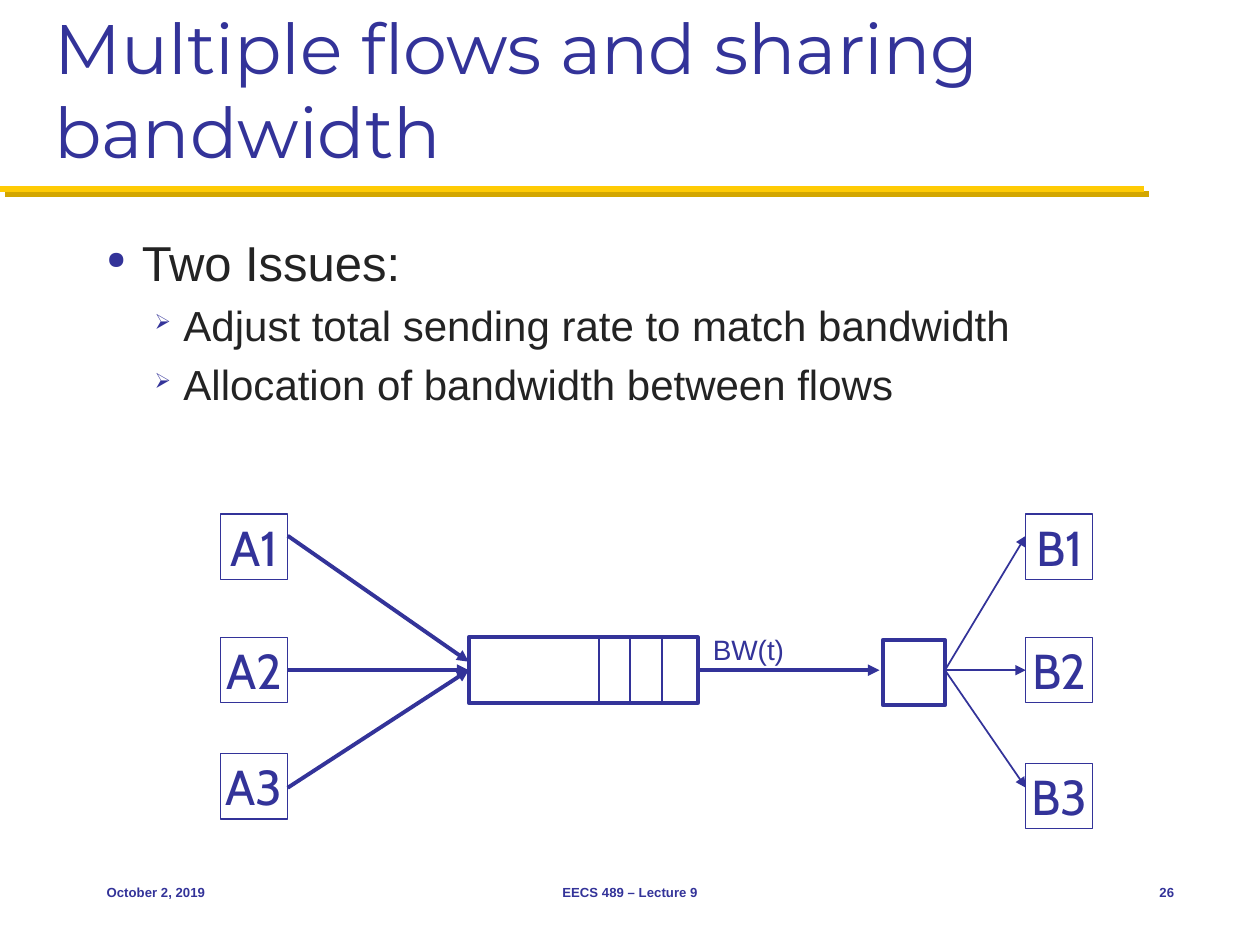
from lxml import etree
from pptx import Presentation
from pptx.dml.color import RGBColor
from pptx.enum.shapes import MSO_CONNECTOR, MSO_SHAPE
from pptx.enum.text import MSO_ANCHOR, PP_ALIGN
from pptx.oxml.ns import qn
from pptx.util import Cm, Pt

LEFT, CENTER, RIGHT = PP_ALIGN.LEFT, PP_ALIGN.CENTER, PP_ALIGN.RIGHT
TOP, MIDDLE, BOTTOM = MSO_ANCHOR.TOP, MSO_ANCHOR.MIDDLE, MSO_ANCHOR.BOTTOM
RECTANGLE = MSO_SHAPE.RECTANGLE
STRAIGHT = MSO_CONNECTOR.STRAIGHT

COLORS = {
    "blue": "333399",
    "ink": "232323",
    "gold": "FFCB05",
    "dark_gold": "D3A600",
    "white": "FFFFFF",
}

# Diagram measures in cm
NODE_W, NODE_H = 1.35, 1.32
SENDER_X, RECEIVER_X = 4.45, 20.68
SENDER_EDGE = 5.8
AXIS_Y = 13.51
QUEUE_X, QUEUE_Y, QUEUE_W = 9.45, 12.85, 4.62
ROUTER_X, ROUTER_Y, ROUTER_W = 17.8, 12.9, 1.25
PORT_Y = {"top": 10.8, "bottom": 15.88}


def rgb(name):
    return RGBColor.from_string(COLORS[name])


def sub(parent, tag, **attributes):
    return etree.SubElement(parent, qn(tag), attributes)


def write(paragraph, text, size, font="Arial", color="blue", bold=False,
          align=LEFT):
    paragraph.alignment = align
    run = paragraph.add_run()
    run.text = text
    run.font.size = Pt(size)
    run.font.name = font
    run.font.bold = bold
    run.font.color.rgb = rgb(color)


def set_frame(frame, anchor=TOP, wrap=True, margins=(0.25, 0.13)):
    frame.word_wrap = wrap
    frame.vertical_anchor = anchor
    frame.margin_left = frame.margin_right = Cm(margins[0])
    frame.margin_top = frame.margin_bottom = Cm(margins[1])


def add_text(slide, box, text, size, anchor=MIDDLE, wrap=True, **text_format):
    frame = slide.shapes.add_textbox(*map(Cm, box)).text_frame
    set_frame(frame, anchor, wrap)
    write(frame.paragraphs[0], text, size, **text_format)


def add_bullet(paragraph, mark, left, hanging):
    properties = paragraph._p.get_or_add_pPr()
    properties.set("marL", str(Cm(left)))
    properties.set("indent", str(-Cm(hanging)))
    color = sub(properties, "a:buClr")
    sub(color, "a:srgbClr", val=COLORS["blue"])
    sub(properties, "a:buSzPct", val="50000")
    sub(properties, "a:buChar", char=mark)


def add_box(slide, x, y, width, weight, label=None):
    box = slide.shapes.add_shape(
        RECTANGLE, Cm(x), Cm(y), Cm(width), Cm(NODE_H))
    box.shadow.inherit = False
    box.fill.solid()
    box.fill.fore_color.rgb = rgb("white")
    box.line.color.rgb = rgb("blue")
    box.line.width = Pt(weight)
    if label:
        set_frame(box.text_frame, MIDDLE, wrap=False, margins=(0.16, 0.08))
        write(box.text_frame.paragraphs[0], label, 28, font="Cabin",
              align=CENTER)


def add_line(slide, start, end, weight, color="blue", arrow=False):
    line = slide.shapes.add_connector(STRAIGHT, *map(Cm, (*start, *end)))
    line.line.color.rgb = rgb(color)
    line.line.width = Pt(weight)
    if arrow:
        sub(line.line._get_or_add_ln(), "a:tailEnd", type="triangle")
    return sub(line._element.spPr, "a:effectLst")


def add_heading(slide):
    add_text(slide, (0.85, 0.42, 23.7, 3.18),
             "Multiple flows and sharing bandwidth", 40, anchor=BOTTOM,
             font="Montserrat")
    # Gold rule with a hard offset shadow
    effects = add_line(slide, (0, 3.81), (23.06, 3.81), 3.5, color="gold")
    shadow = sub(effects, "a:outerShdw", blurRad="0", dist=str(Pt(4.2)),
                 dir="2700000", algn="ctr", rotWithShape="0")
    sub(shadow, "a:srgbClr", val=COLORS["dark_gold"])


def add_issues(slide):
    issues = [
        ("Two Issues:", 28, "●", 0.71, 0.71),
        ("Adjust total sending rate to match bandwidth", 24, "➢", 1.55, 0.58),
        ("Allocation of bandwidth between flows", 24, "➢", 1.55, 0.58),
    ]
    frame = slide.shapes.add_textbox(
        Cm(1.9), Cm(4.55), Cm(22), Cm(5)).text_frame
    set_frame(frame)
    for number, (text, size, mark, left, hanging) in enumerate(issues):
        paragraph = frame.add_paragraph() if number else frame.paragraphs[0]
        add_bullet(paragraph, mark, left, hanging)
        if number:
            paragraph.space_before = Pt(5)
        write(paragraph, text, size, color="ink")


def add_diagram(slide):
    # Senders and receivers
    for side, x, tops in (("A", SENDER_X, (10.36, 12.85, 15.19)),
                          ("B", RECEIVER_X, (10.36, 12.85, 15.39))):
        for number, y in enumerate(tops, start=1):
            add_box(slide, x, y, NODE_W, 0.75, f"{side}{number}")

    # Shared queue with its waiting packets, and the far router
    add_box(slide, QUEUE_X, QUEUE_Y, QUEUE_W, 2.25)
    for slot in range(3):
        x = 12.07 + 0.635 * slot
        add_line(slide, (x, QUEUE_Y), (x, QUEUE_Y + NODE_H), 1)
    add_box(slide, ROUTER_X, ROUTER_Y, ROUTER_W, 2.25)

    # Flows into the queue
    for start_y, end_y in ((PORT_Y["top"], 13.34), (AXIS_Y, AXIS_Y),
                           (PORT_Y["bottom"], AXIS_Y)):
        add_line(slide, (SENDER_EDGE, start_y), (QUEUE_X, end_y), 2.25,
                 arrow=True)

    # Shared link
    add_line(slide, (QUEUE_X + QUEUE_W, AXIS_Y), (17.73, AXIS_Y), 2.25,
             arrow=True)
    add_text(slide, (14.12, 12.62, 1.96, 0.94), "BW(t)", 16, anchor=TOP,
             wrap=False)

    # Flows out of the router
    for end_y in (PORT_Y["top"], AXIS_Y, PORT_Y["bottom"]):
        add_line(slide, (ROUTER_X + ROUTER_W, AXIS_Y), (RECEIVER_X, end_y), 1,
                 arrow=True)


def add_footer(slide):
    for text, x, width, align in (("October 2, 2019", 1.9, 5.29, LEFT),
                                  ("EECS 489 – Lecture 9", 8.68, 8.04, CENTER),
                                  ("26", 22.22, 1.7, RIGHT)):
        add_text(slide, (x, 17.36, width, 1.27), text, 7.5, bold=True,
                 align=align)


def main():
    presentation = Presentation()
    presentation.slide_width = Cm(25.4)
    presentation.slide_height = Cm(19.05)
    slide = presentation.slides.add_slide(presentation.slide_layouts[6])
    add_heading(slide)
    add_issues(slide)
    add_diagram(slide)
    add_footer(slide)
    presentation.save("out.pptx")


if __name__ == "__main__":
    main()
